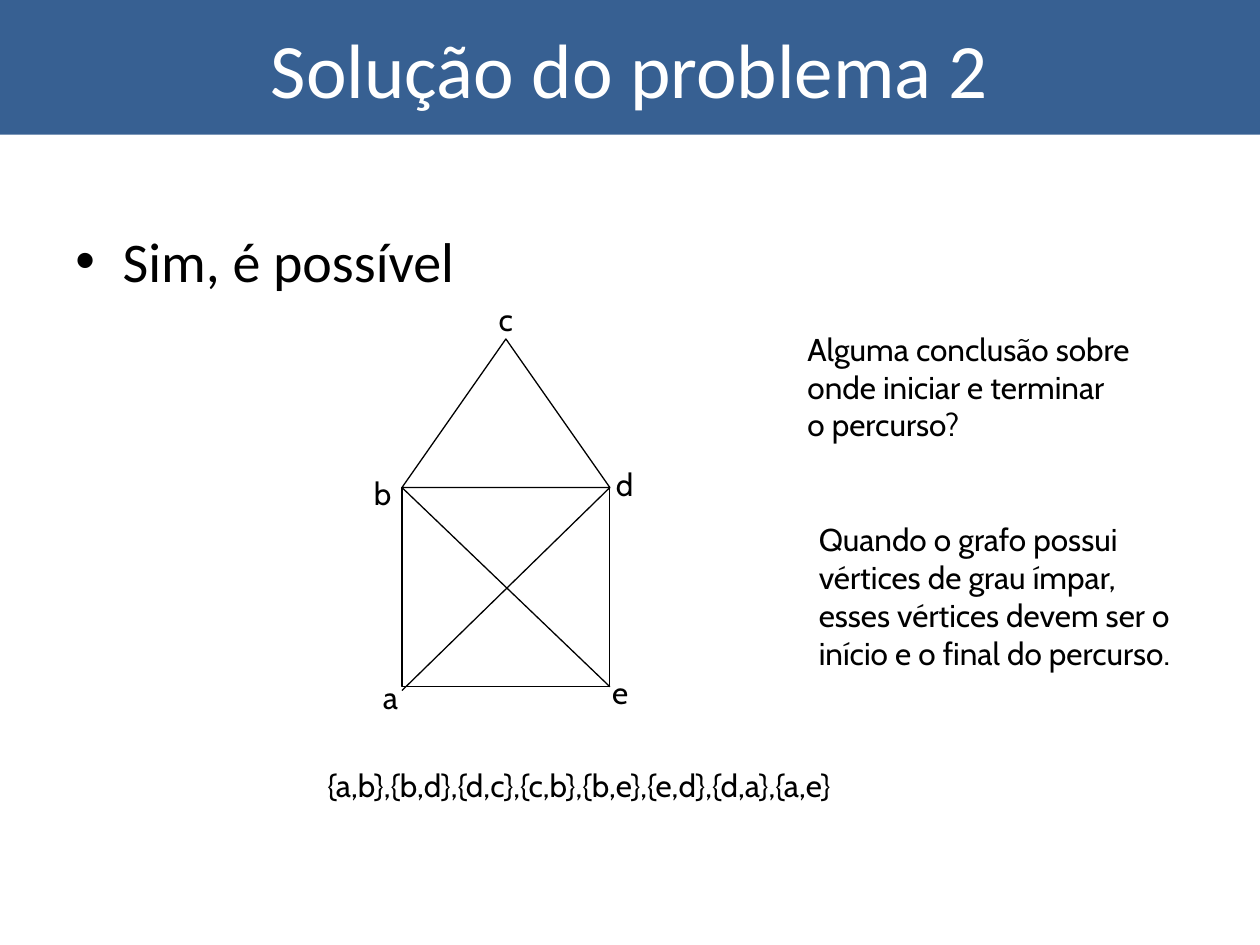
from lxml.etree import SubElement
from pptx import Presentation
from pptx.dml.color import RGBColor
from pptx.enum.shapes import MSO_CONNECTOR, MSO_SHAPE
from pptx.enum.text import MSO_ANCHOR, MSO_AUTO_SIZE, PP_ALIGN
from pptx.oxml.ns import qn
from pptx.util import Pt

BLUE = RGBColor(0x37, 0x60, 0x92)
BLACK = RGBColor(0, 0, 0)
WHITE = RGBColor(255, 255, 255)

LEFT, RIGHT = 229.7, 348.5
ROOF_TOP, WALL_TOP, WALL_BOTTOM = 193.7, 278.6, 392.4
VERTEX_LABELS = [
    ("a", 211.7, 383.8, 24.5),
    ("b", 206.6, 267.1, 25.2),
    ("c", 277.9, 167.8, 23),
    ("d", 344.9, 262.1, 25.2),
    ("e", 342.7, 380.9, 24.5),
]
PATH = "{a,b},{b,d},{d,c},{c,b},{b,e},{e,d},{d,a},{a,e}"
QUESTION = "Alguma conclusão sobre\nonde iniciar e terminar\no percurso?"
ANSWER = (
    "Quando o grafo possui\nvértices de grau ímpar,\n"
    "esses vértices devem ser o\ninício e o final do percurso."
)


def format_text(text_frame, name, size, color):
    """Apply one font to every run."""
    for paragraph in text_frame.paragraphs:
        for run in paragraph.runs:
            run.font.name = name
            run.font.size = Pt(size)
            run.font.color.rgb = color


def add_title(slide, text):
    """Add the title band across the top."""
    shape = slide.shapes.add_shape(MSO_SHAPE.RECTANGLE, Pt(0), Pt(0), Pt(720), Pt(77))
    shape.shadow.inherit = False
    shape.fill.solid()
    shape.fill.fore_color.rgb = BLUE
    shape.line.fill.background()
    text_frame = shape.text_frame
    text_frame.text = text
    text_frame.vertical_anchor = MSO_ANCHOR.MIDDLE
    text_frame.paragraphs[0].alignment = PP_ALIGN.CENTER
    format_text(text_frame, "Calibri", 44, WHITE)


def add_bullet(slide, text):
    """Add the bulleted body text."""
    shape = slide.shapes.add_textbox(Pt(36), Pt(126), Pt(648), Pt(356.4))
    text_frame = shape.text_frame
    text_frame.word_wrap = True
    text_frame.text = text
    properties = text_frame.paragraphs[0]._p.get_or_add_pPr()
    properties.set("marL", str(Pt(27)))
    properties.set("indent", str(Pt(-27)))
    SubElement(properties, qn("a:buFont"), typeface="Arial")
    SubElement(properties, qn("a:buChar"), char="•")
    format_text(text_frame, "Calibri", 32, BLACK)


def add_label(slide, text, left, top, width, height=28.8):
    """Add an unwrapped text label."""
    shape = slide.shapes.add_textbox(Pt(left), Pt(top), Pt(width), Pt(height))
    text_frame = shape.text_frame
    text_frame.word_wrap = False
    text_frame.auto_size = MSO_AUTO_SIZE.SHAPE_TO_FIT_TEXT
    text_frame.text = text
    format_text(text_frame, "Cabin", 18, BLACK)


def add_outline(slide, kind, top, bottom):
    """Add an unfilled part of the house graph."""
    shape = slide.shapes.add_shape(kind, Pt(LEFT), Pt(top), Pt(RIGHT - LEFT), Pt(bottom - top))
    shape.shadow.inherit = False
    shape.fill.background()
    shape.line.color.rgb = BLACK
    shape.line.width = Pt(0.75)


def add_diagonal(slide, start_x, end_x, end_y):
    """Add a diagonal edge from the top of the wall."""
    connector = slide.shapes.add_connector(
        MSO_CONNECTOR.STRAIGHT, Pt(start_x), Pt(WALL_TOP), Pt(end_x), Pt(end_y)
    )
    connector.line.color.rgb = BLACK
    connector.line.width = Pt(0.75)
    SubElement(connector._element.spPr, qn("a:effectLst"))


def main():
    """Build and save the slide."""
    presentation = Presentation()
    presentation.slide_width = Pt(720)
    presentation.slide_height = Pt(540)
    slide = presentation.slides.add_slide(presentation.slide_layouts[6])
    add_title(slide, "Solução do problema 2")
    add_bullet(slide, "Sim, é possível")
    add_outline(slide, MSO_SHAPE.RECTANGLE, WALL_TOP, WALL_BOTTOM)
    add_diagonal(slide, LEFT, RIGHT, WALL_BOTTOM)
    add_diagonal(slide, RIGHT, LEFT, 394.6)
    add_outline(slide, MSO_SHAPE.ISOSCELES_TRIANGLE, ROOF_TOP, WALL_TOP)
    for text, left, top, width in VERTEX_LABELS:
        add_label(slide, text, left, top, width)
    add_label(slide, PATH, 180, 434.2, 362.9)
    add_label(slide, QUESTION, 454.3, 185, 221.8, 72)
    add_label(slide, ANSWER, 460.8, 293.8, 243.4, 93.6)
    presentation.save("out.pptx")


if __name__ == "__main__":
    main()
